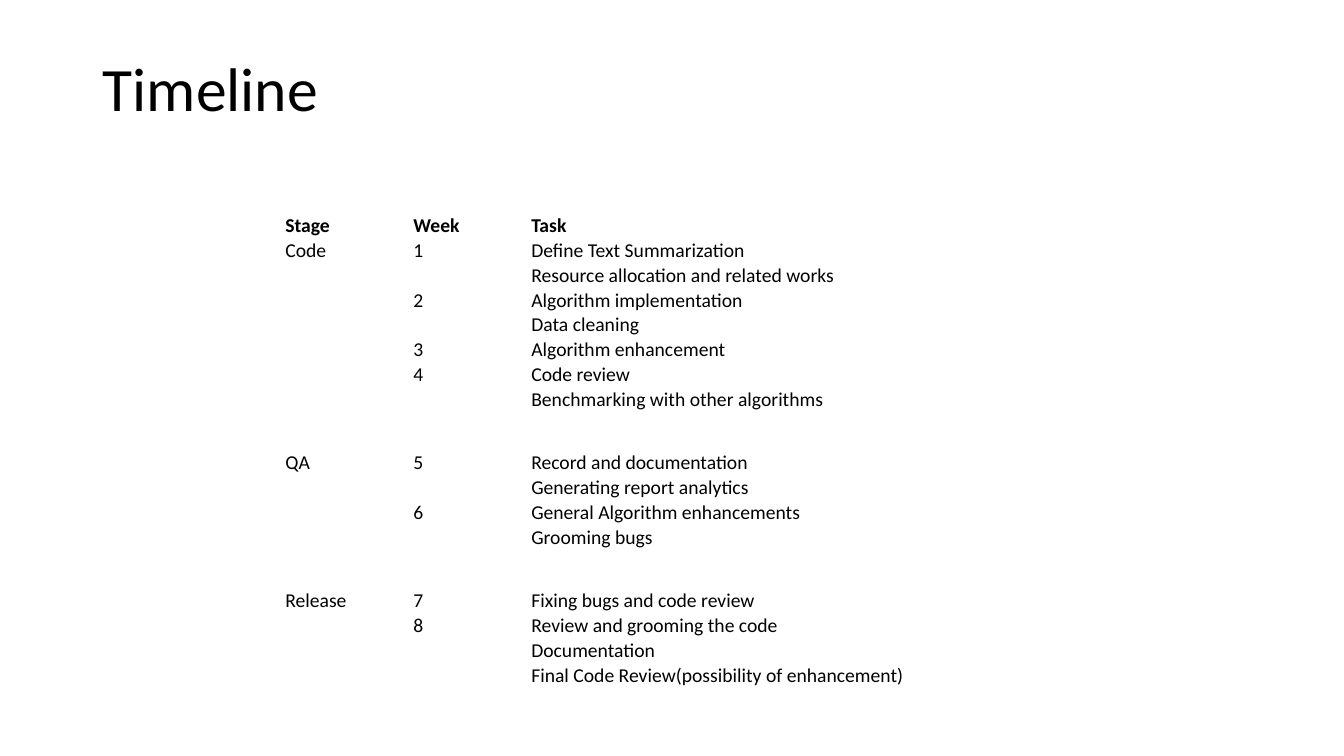
import pptx
import pptx.util
import pptx.dml.color
import pptx.enum.text
import lxml.etree
from pptx.oxml.ns import qn

Inches, Pt = pptx.util.Inches, pptx.util.Pt
ANCHOR = pptx.enum.text.MSO_ANCHOR

# Content: stage -> (week, tasks)
TITLE = "Timeline"
HEADER = ("Stage", "Week", "Task")
STAGES = [
    ("Code", [
        ("1", ["Define Text Summarization", "Resource allocation and related works"]),
        ("2", ["Algorithm implementation", "Data cleaning"]),
        ("3", ["Algorithm enhancement"]),
        ("4", ["Code review", "Benchmarking with other algorithms"]),
    ]),
    ("QA", [
        ("5", ["Record and documentation", "Generating report analytics"]),
        ("6", ["General Algorithm enhancements", "Grooming bugs"]),
    ]),
    ("Release", [
        ("7", ["Fixing bugs and code review"]),
        ("8", ["Review and grooming the code", "Documentation",
               "Final Code Review(possibility of enhancement)"]),
    ]),
]
COL_WIDTHS = (1.27, 1.17, 5.61)
ROW_HEIGHT, SPACER_HEIGHT = 0.24, 0.38
FONT, BLACK = "Calibri", "000000"


def add_run(p, text, size, bold=False):
    r = p.add_run()
    r.text = text
    r.font.name, r.font.size, r.font.bold = FONT, Pt(size), bold
    r.font.color.rgb = pptx.dml.color.RGBColor.from_string(BLACK)


# Name each stage and week once; close every stage with a spacer row
rows = [HEADER]
for stage, weeks in STAGES:
    for w, (week, tasks) in enumerate(weeks):
        for t, task in enumerate(tasks):
            rows.append((stage if w == t == 0 else "", week if t == 0 else "", task))
    rows.append(("", "", ""))
heights = [ROW_HEIGHT if any(row) else SPACER_HEIGHT for row in rows]

prs = pptx.Presentation()
prs.slide_width, prs.slide_height = Inches(13.33), Inches(7.5)
s = prs.slides.add_slide(prs.slide_layouts[5])

# Title
title = s.shapes.title
title.left, title.top, title.width, title.height = map(Inches, (0.92, 0.4, 11.5, 1.02))
tf = title.text_frame
tf.vertical_anchor = ANCHOR.MIDDLE
p = tf.paragraphs[0]
p.alignment = pptx.enum.text.PP_ALIGN.LEFT
p.line_spacing = 0.9
add_run(p, TITLE, 44)

# Schedule table
table = s.shapes.add_table(
    len(rows), len(HEADER), Inches(2.82), Inches(2.11),
    Inches(sum(COL_WIDTHS)), Inches(sum(heights))).table
table.first_row = table.horz_banding = False
for col, width in zip(table.columns, COL_WIDTHS):
    col.width = Inches(width)
for i, (row, height) in enumerate(zip(rows, heights)):
    table.rows[i].height = Inches(height)
    for j, text in enumerate(row):
        cell = table.cell(i, j)
        cell.fill.background()
        cell.vertical_anchor = ANCHOR.BOTTOM
        cell.margin_left = cell.margin_right = cell.margin_top = Inches(0.01)
        cell.margin_bottom = 0
        p = cell.text_frame.paragraphs[0]
        if text:
            add_run(p, text, 14, bold=i == 0)
        else:  # keep empty cells from stretching the row
            lxml.etree.SubElement(p._p, qn("a:endParaRPr"), sz="1400")

prs.save("out.pptx")
